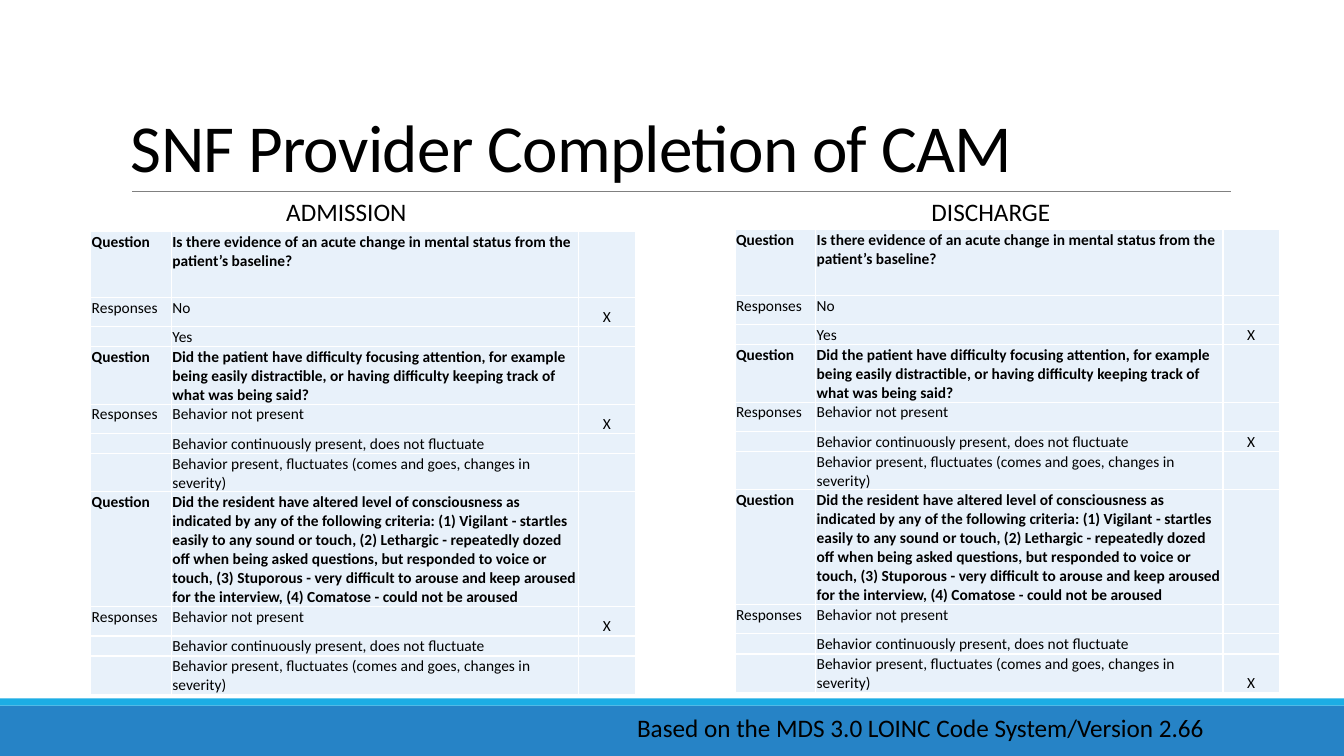
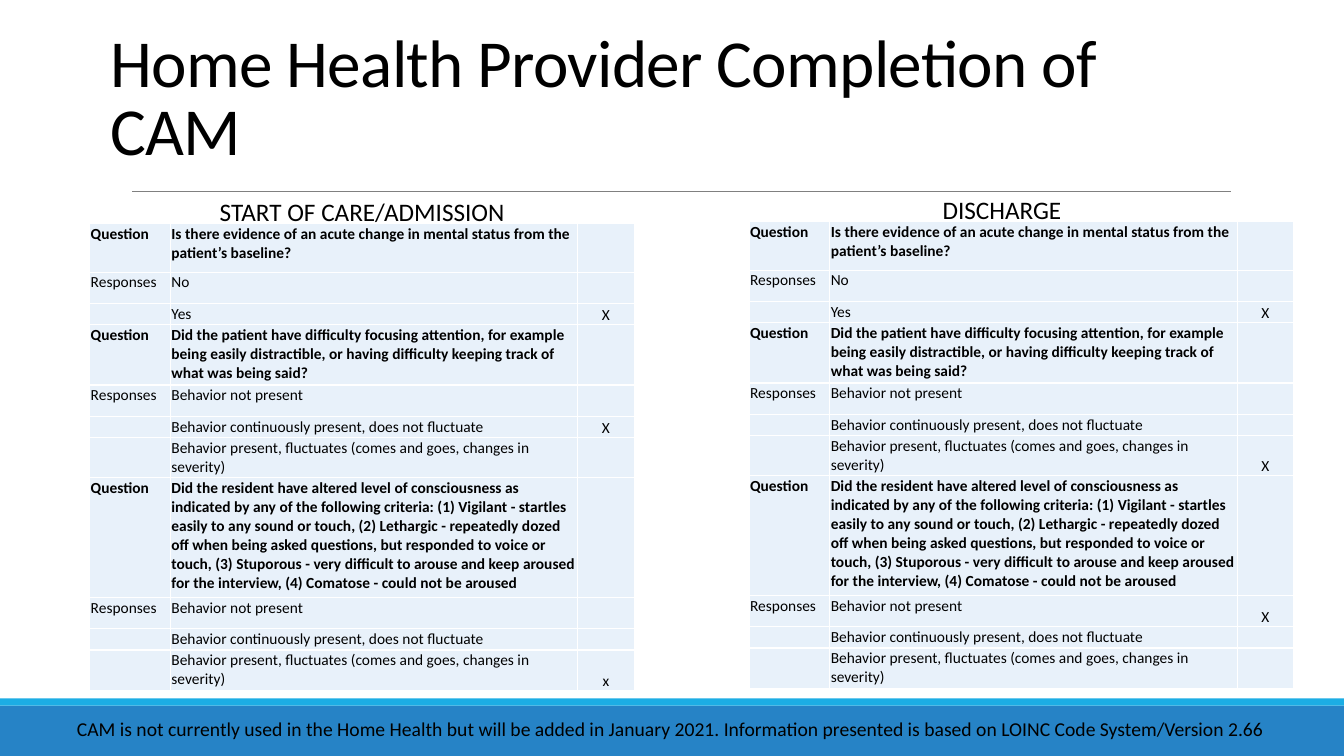
from dataclasses import dataclass

from lxml.etree import SubElement
from pptx import Presentation
from pptx.dml.color import RGBColor
from pptx.enum.shapes import MSO_CONNECTOR, MSO_SHAPE
from pptx.enum.text import MSO_ANCHOR, PP_ALIGN
from pptx.oxml.ns import qn
from pptx.util import Inches, Pt

FONT = "Calibri"
BLACK, GREY = "000000", "808080"
BAND, STRIPE, CELL = "2683C6", "1CADE4", "E8F1FA"

QUESTION, RESPONSES = "Question", "Responses"
BEHAVIORS = [
    (RESPONSES, "Behavior not present"),
    ("", "Behavior continuously present, does not fluctuate"),
    ("", "Behavior present, fluctuates (comes and goes, changes in severity)"),
]
CAM_ROWS = [
    (QUESTION, "Is there evidence of an acute change in mental status from the "
               "patient’s baseline?"),
    (RESPONSES, "No"),
    ("", "Yes"),
    (QUESTION, "Did the patient have difficulty focusing attention, for example being "
               "easily distractible, or having difficulty keeping track of what was "
               "being said?"),
    *BEHAVIORS,
    (QUESTION, "Did the resident have altered level of consciousness as indicated by any "
               "of the following criteria: (1) Vigilant - startles easily to any sound or "
               "touch, (2) Lethargic - repeatedly dozed off when being asked questions, "
               "but responded to voice or touch, (3) Stuporous - very difficult to arouse "
               "and keep aroused for the interview, (4) Comatose - could not be aroused"),
    *BEHAVIORS,
]
COL_WIDTHS = [0.8, 4.04, 0.56]


@dataclass
class Box:
    text: str
    left: float
    top: float
    width: float
    height: float
    size: float = 18
    align: PP_ALIGN = PP_ALIGN.LEFT
    wrap: bool = True


@dataclass
class Assessment:
    heading: Box
    left: float
    top: float
    marks: dict[int, str]  # row index -> mark in the last column


@dataclass
class CamSlide:
    title: Box
    row_heights: list[float]
    assessments: list[Assessment]
    footer: Box


SLIDES = [
    CamSlide(
        Box("SNF Provider Completion of CAM", 1.2, 0.31, 11, 1.59, 48),
        [0.65, 0.29, 0.2, 0.57, 0.29, 0.2, 0.38, 1.14, 0.29, 0.2, 0.38],
        [
            Assessment(Box("ADMISSION", 2.74, 1.9, 1.41, 0.4, wrap=False),
                       0.9, 2.3, {1: "X", 4: "X", 8: "X"}),
            Assessment(Box("DISCHARGE", 9.14, 1.9, 1.39, 0.4, wrap=False),
                       7.29, 2.28, {2: "X", 5: "X", 10: "X"}),
        ],
        Box("Based on the MDS 3.0 LOINC Code System/Version 2.66", 6.22, 7.02, 6.6, 0.4),
    ),
    CamSlide(
        Box("Home Health Provider Completion of CAM", 1, 0.14, 11.34, 1.59, 48),
        [0.48, 0.31, 0.21, 0.6, 0.31, 0.21, 0.4, 1.19, 0.31, 0.21, 0.4],
        [
            Assessment(Box("START OF CARE/ADMISSION", 2.08, 1.9, 3.05, 0.4, wrap=False),
                       0.89, 2.22, {2: "X", 5: "X", 10: "x"}),
            Assessment(Box("DISCHARGE", 9.25, 1.88, 1.39, 0.4, wrap=False),
                       7.43, 2.2, {2: "X", 6: "X", 8: "X"}),
        ],
        Box("CAM is not currently used in the Home Health but will be added in January "
            "2021. Information presented is based on LOINC Code System/Version 2.66",
            0.17, 7.06, 12.97, 0.34, 14, PP_ALIGN.CENTER),
    ),
]


def rgb(color: str) -> RGBColor:
    return RGBColor.from_string(color)


def style(p, size: float, bold: bool = False) -> None:
    p.font.name, p.font.size, p.font.bold = FONT, Pt(size), bold
    p.font.color.rgb = rgb(BLACK)


def add_text(s, box: Box):
    tf = s.shapes.add_textbox(Inches(box.left), Inches(box.top),
                              Inches(box.width), Inches(box.height)).text_frame
    tf.word_wrap = box.wrap
    p = tf.paragraphs[0]
    p.text, p.alignment = box.text, box.align
    style(p, box.size)
    return tf


def add_title(s, box: Box) -> None:
    tf = add_text(s, box)
    tf.vertical_anchor = MSO_ANCHOR.BOTTOM
    p = tf.paragraphs[0]
    p.line_spacing = 0.85
    p.runs[0]._r.get_or_add_rPr().set("spc", "-50")


def add_frame(s) -> None:
    # Footer bands
    for top, height, color in [(7, 0.5, BAND), (6.93, 0.07, STRIPE)]:
        sp = s.shapes.add_shape(MSO_SHAPE.RECTANGLE, 0, Inches(top),
                                Inches(13.33), Inches(height))
        sp.shadow.inherit = False
        sp.fill.solid()
        sp.fill.fore_color.rgb = rgb(color)
        sp.line.fill.background()
    # Rule under the title
    rule = s.shapes.add_connector(MSO_CONNECTOR.STRAIGHT, Inches(1.31), Inches(1.9),
                                  Inches(12.21), Inches(1.9))
    rule.line.color.rgb = rgb(GREY)
    rule.line.width = Pt(0.5)
    SubElement(rule._element.spPr, qn("a:effectLst"))


def add_assessment(s, item: Assessment, row_heights: list[float]) -> None:
    table = s.shapes.add_table(len(CAM_ROWS), len(COL_WIDTHS),
                               Inches(item.left), Inches(item.top),
                               Inches(sum(COL_WIDTHS)), Inches(sum(row_heights))).table
    table.first_row = table.horz_banding = False
    for col, width in zip(table.columns, COL_WIDTHS):
        col.width = Inches(width)
    for i, (label, text) in enumerate(CAM_ROWS):
        table.rows[i].height = Inches(row_heights[i])
        for j, value in enumerate([label, text, item.marks.get(i, "")]):
            cell = table.cell(i, j)
            cell.fill.solid()
            cell.fill.fore_color.rgb = rgb(CELL)
            cell.margin_left = cell.margin_right = cell.margin_top = Inches(0.01)
            cell.margin_bottom = 0
            p = cell.text_frame.paragraphs[0]
            p.text = value
            style(p, 11, bold=label == QUESTION)
            if j == 2:
                cell.vertical_anchor = MSO_ANCHOR.BOTTOM
                p.alignment = PP_ALIGN.CENTER


def main() -> None:
    prs = Presentation()
    prs.slide_width, prs.slide_height = Inches(13.33), Inches(7.5)
    for page in SLIDES:
        s = prs.slides.add_slide(prs.slide_layouts[6])
        add_frame(s)
        add_title(s, page.title)
        for item in page.assessments:
            add_assessment(s, item, page.row_heights)
        for box in [*(item.heading for item in page.assessments), page.footer]:
            add_text(s, box)
    prs.save("out.pptx")


if __name__ == "__main__":
    main()
